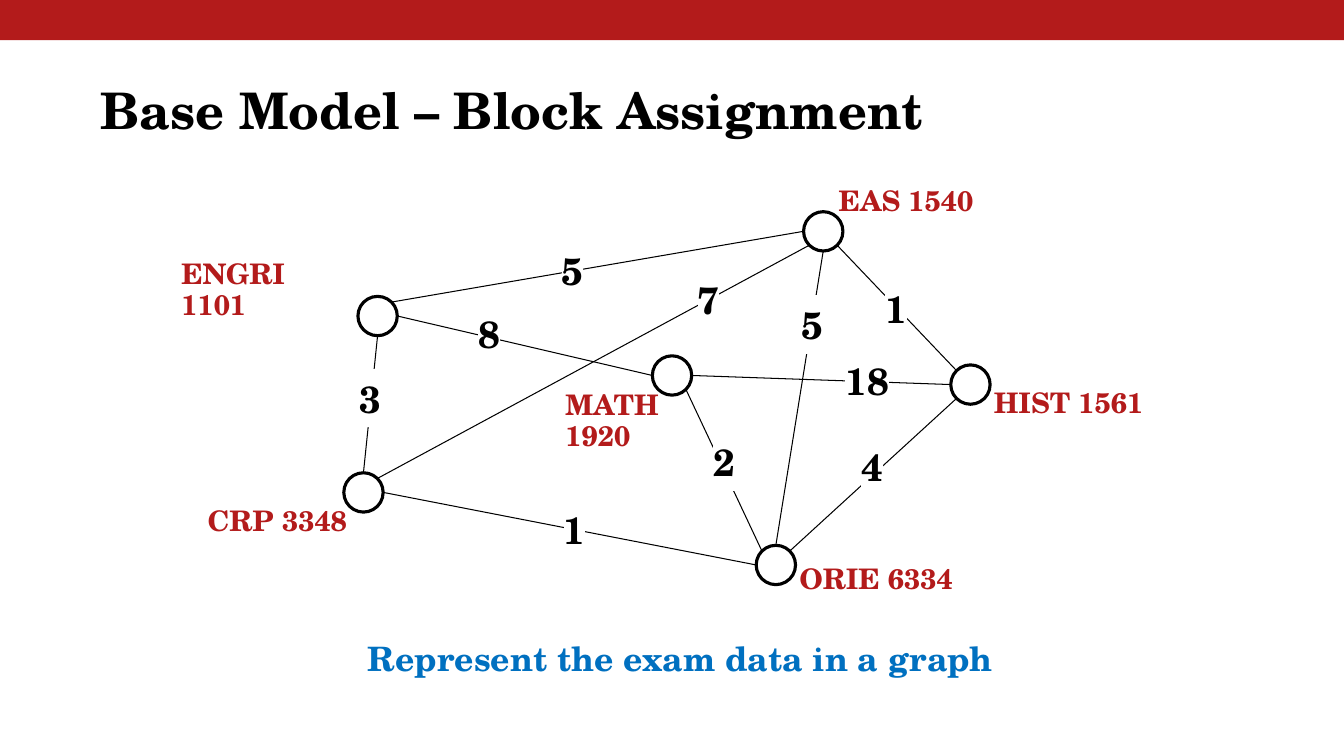
from pptx import Presentation
from pptx.dml.color import RGBColor
from pptx.enum.shapes import MSO_CONNECTOR, MSO_SHAPE
from pptx.enum.text import MSO_ANCHOR, PP_ALIGN
from pptx.oxml import parse_xml
from pptx.oxml.ns import nsdecls, qn
from pptx.util import Pt
from lxml.etree import SubElement

PX = 9144  # EMU per px, 100 px to the inch
RED = RGBColor(0xB3, 0x1B, 0x1B)
BLUE = RGBColor(0x00, 0x70, 0xC0)
BLACK = RGBColor(0, 0, 0)
WHITE = RGBColor(0xFF, 0xFF, 0xFF)
NODE = 39  # node diameter
DIAG = 0.7071

# Unit directions from a node's centre to its rim
SITES = {
    "top": (0, -1), "bottom": (0, 1), "left": (-1, 0), "right": (1, 0),
    "top left": (-DIAG, -DIAG), "top right": (DIAG, -DIAG),
    "bottom left": (-DIAG, DIAG), "bottom right": (DIAG, DIAG),
}

# Course: node left and top, label left, top and width, label lines
COURSES = {
    "CRP": (341, 469, 196, 503, 188, ["CRP 3348"]),
    "MATH": (647, 353, 551, 403, 188, ["MATH", "1920"]),
    "ORIE": (750, 541, 783, 560, 304, ["ORIE 6334"]),
    "ENGRI": (355, 294, 170, 273, 192, ["ENGRI 1101"]),
    "HIST": (943, 362, 976, 386, 173, ["HIST 1561"]),
    "EAS": (797, 210, 822, 185, 173, ["EAS 1540"]),
}

# Start, its site, end, its site, weight, weight left and top
EDGES = [
    ("ENGRI", "right", "MATH", "left", "8", 462, 309),
    ("ENGRI", "top right", "EAS", "left", "5", 545, 246),
    ("ENGRI", "bottom", "CRP", "top", "3", 344, 373),
    ("CRP", "right", "ORIE", "left", "1", 547, 503),
    ("EAS", "bottom right", "HIST", "top left", "1", 866, 284),
    ("MATH", "bottom right", "ORIE", "top left", "2", 695, 436),
    ("MATH", "right", "HIST", "left", "18", 822, 355),
    ("CRP", "top right", "EAS", "bottom left", "7", 680, 275),
    ("ORIE", "top right", "HIST", "bottom left", "4", 842, 441),
    ("ORIE", "top", "EAS", "bottom", "5", 783, 300),
]


class SlideBuilder:
    font = "TeX Gyre Schola"

    def __init__(self, slide):
        self.shapes = slide.shapes

    def shape(self, kind, x, y, w, h, fill, line=None):
        sp = self.shapes.add_shape(kind, x * PX, y * PX, w * PX, h * PX)
        sp.shadow.inherit = False
        sp.fill.solid()
        sp.fill.fore_color.rgb = fill
        if line is None:
            sp.line.fill.background()
        else:
            sp.line.color.rgb = line
            sp.line.width = Pt(2.25)
        return sp

    def line(self, start, end):
        x1, y1, x2, y2 = (round(v * PX) for v in (*start, *end))
        cxn = self.shapes.add_connector(MSO_CONNECTOR.STRAIGHT, x1, y1, x2, y2)
        cxn.line.color.rgb = BLACK
        cxn.line.width = Pt(0.75)
        SubElement(cxn._element.spPr, qn("a:effectLst"))
        return cxn

    def text(self, lines, x, y, w, h, *, size, color, align=PP_ALIGN.LEFT,
             spacing=0.9, inset=10, highlight=None):
        sp = self.shapes.add_textbox(x * PX, y * PX, w * PX, h * PX)
        tf = sp.text_frame
        tf.word_wrap = True
        tf.vertical_anchor = MSO_ANCHOR.MIDDLE
        tf.margin_left = tf.margin_right = 10 * PX
        tf.margin_top = tf.margin_bottom = inset * PX
        for i, content in enumerate(lines):
            p = tf.add_paragraph() if i else tf.paragraphs[0]
            p.alignment = align
            p.line_spacing = spacing
            r = p.add_run()
            r.text = content
            r.font.name = self.font
            r.font.size = Pt(size)
            r.font.bold = True
            r.font.color.rgb = color
            if highlight is not None:
                mark = parse_xml(f'<a:highlight {nsdecls("a")}>'
                                 f'<a:srgbClr val="{highlight}"/></a:highlight>')
                r._r.rPr.find(qn("a:solidFill")).addnext(mark)
        return sp


def rim_point(course, site):
    left, top = COURSES[course][:2]
    dx, dy = SITES[site]
    return left + NODE / 2 * (1 + dx), top + NODE / 2 * (1 + dy)


def main():
    prs = Presentation()
    prs.slide_width, prs.slide_height = 1333 * PX, 750 * PX
    s = SlideBuilder(prs.slides.add_slide(prs.slide_layouts[6]))

    # Top band and title
    s.shape(MSO_SHAPE.RECTANGLE, 0, 0, 1333, 40, RED)
    s.text(["Base Model – Block Assignment"], 90, 40, 1150, 145,
           size=36, color=BLACK, inset=5)

    # Graph nodes and edges
    for left, top, *_ in COURSES.values():
        s.shape(MSO_SHAPE.OVAL, left, top, NODE, NODE, WHITE, BLACK)
    for start, start_site, end, end_site, *_ in EDGES:
        s.line(rim_point(start, start_site), rim_point(end, end_site))

    # Course names
    for _, _, x, y, w, lines in COURSES.values():
        s.text(lines, x, y, w, 31, size=20.2, color=RED)

    # Edge weights
    for *_, weight, x, y in EDGES:
        s.text([weight], x, y, 16 + 30 * len(weight), 44, size=27, color=BLACK,
               align=PP_ALIGN.CENTER, spacing=1.0, highlight=WHITE)

    # Closing statement
    s.text(["Represent the exam data in a graph"], 355, 583, 1150, 145,
           size=24, color=BLUE, inset=5)

    prs.save("out.pptx")


if __name__ == "__main__":
    main()
